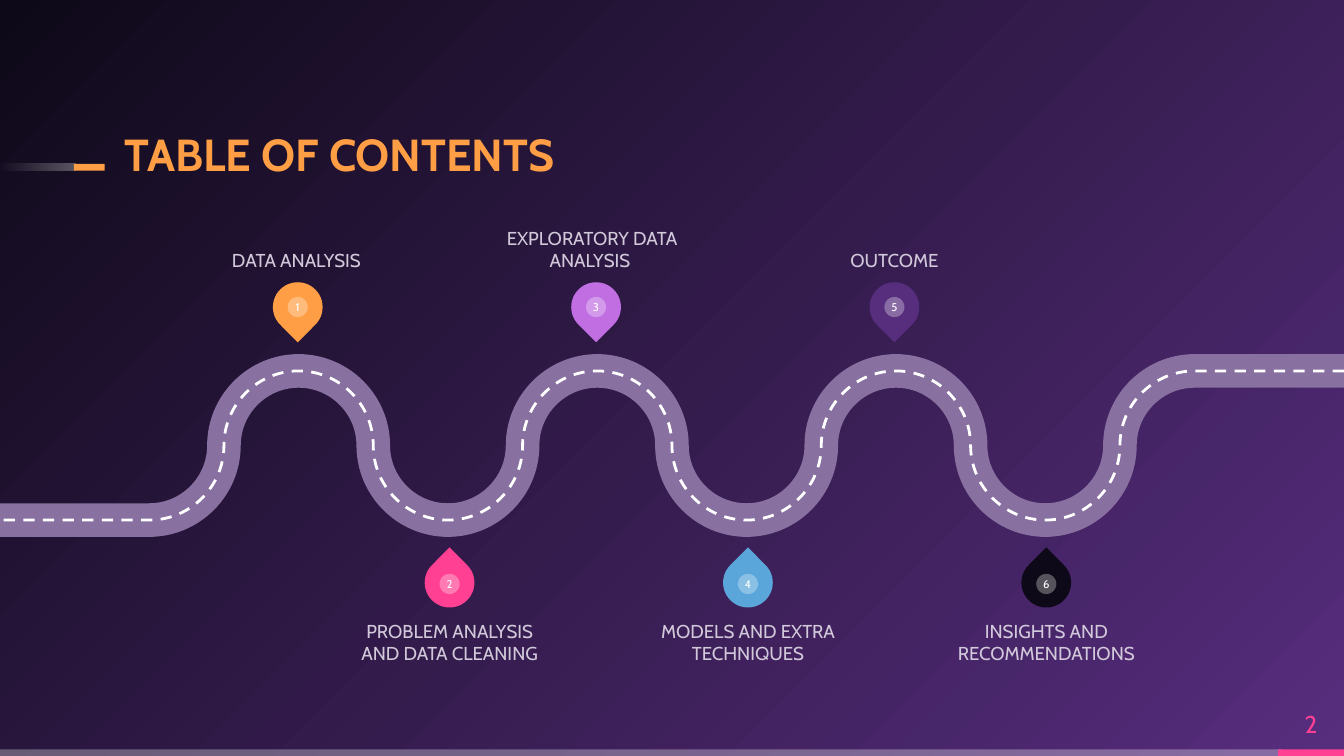
from lxml.etree import SubElement
from pptx import Presentation
from pptx.dml.color import RGBColor
from pptx.enum.dml import MSO_LINE
from pptx.enum.shapes import MSO_SHAPE
from pptx.enum.text import MSO_ANCHOR, PP_ALIGN
from pptx.oxml.ns import qn
from pptx.util import Inches, Pt

FONT = "Cabin"
COLORS = {
    "orange": "FF9E44", "pink": "FF4093", "violet": "C06EE2", "blue": "5AA5DA",
    "purple": "572D7E", "night": "0E0918", "road": "8870A0", "label": "D1C8DA",
    "white": "FFFFFF",
}
WIDTH, HEIGHT = 10, 5.625
PITCH = 2.22  # distance between neighbouring pins of one row
PIN = 0.37
DOT = 0.15
LABEL = (1.41, 0.58)

# number, pin colour, label, left edge of the label
ABOVE = [
    ("1", "orange", "DATA ANALYSIS", 1.5),
    ("3", "violet", "EXPLORATORY DATA ANALYSIS ", 3.7),
    ("5", "purple", "OUTCOME", 5.95),
]
BELOW = [
    ("2", "pink", "PROBLEM ANALYSIS AND DATA CLEANING", 2.64),
    ("4", "blue", "MODELS AND EXTRA TECHNIQUES", 4.86),
    ("6", "night", "INSIGHTS AND RECOMMENDATIONS", 7.08),
]


def color(name):
    return RGBColor.from_string(COLORS[name])


def fade(shape, *alphas):
    """Set the opacity in percent of each fill colour of the shape, in order."""
    for node, alpha in zip(shape._element.spPr.iter(qn("a:srgbClr")), alphas):
        SubElement(node, qn("a:alpha"), val=str(alpha * 1000))


def blend(fill, first, last):
    fill.gradient()
    for stop, name in zip(fill.gradient_stops, (first, last)):
        stop.color.rgb = color(name)


def add_form(shapes, kind, box, name):
    shape = shapes.add_shape(kind, *map(Inches, box))
    shape.shadow.inherit = False
    shape.fill.solid()
    shape.fill.fore_color.rgb = color(name)
    shape.line.fill.background()
    return shape


def write(shape, text, size, name, anchor=MSO_ANCHOR.MIDDLE, align=PP_ALIGN.CENTER):
    frame = shape.text_frame
    frame.word_wrap = True
    frame.vertical_anchor = anchor
    frame.margin_left = frame.margin_right = 0
    frame.margin_top = frame.margin_bottom = 0
    frame.text = text
    line = frame.paragraphs[0]
    line.alignment = align
    line.font.name = FONT
    line.font.size = Pt(size)
    line.font.color.rgb = color(name)
    return line


def add_text(slide, box, *style):
    write(slide.shapes.add_textbox(*map(Inches, box)), *style)


def paint_back(slide):
    blend(slide.background.fill, "purple", "night")
    grad = slide._element.find(".//" + qn("a:gradFill"))
    grad.remove(grad.find(qn("a:lin")))
    circle = SubElement(grad, qn("a:path"), path="circle")
    SubElement(circle, qn("a:fillToRect"), l="100000", t="100000")
    SubElement(grad, qn("a:tileRect"), r="-100000", b="-100000")


def add_footer(slide, height):
    top, split = HEIGHT - height, 9.51
    strip = add_form(slide.shapes, MSO_SHAPE.RECTANGLE, (0, top, 9.54, height), "white")
    fade(strip, 30)
    tail = WIDTH - split
    add_form(slide.shapes, MSO_SHAPE.RECTANGLE, (split, top, tail, height), "pink")
    add_text(slide, (split, top - 0.38, tail, 0.38), "2", 13, "pink")


def add_title(slide, left, top, width, height):
    dash = top + 0.3
    glow = add_form(slide.shapes, MSO_SHAPE.RECTANGLE, (0, dash, 0.56, 0.05), "white")
    blend(glow.fill, "white", "white")
    glow.fill.gradient_angle = 180
    fade(glow, 30, 0)
    add_form(slide.shapes, MSO_SHAPE.RECTANGLE, (0.55, dash, 0.23, 0.05), "orange")

    title = slide.shapes.title
    title.left, title.top = Inches(left), Inches(top)
    title.width, title.height = Inches(width), Inches(height)
    line = write(title, "TABLE OF CONTENTS", 24, "orange",
                 MSO_ANCHOR.BOTTOM, PP_ALIGN.LEFT)
    line.line_spacing = 0.9
    line.font.bold = True


def trace(outline, kind, *points):
    """Append one drawing step to a freeform outline."""
    step = SubElement(outline, qn("a:" + kind))
    for x, y in points:
        SubElement(step, qn("a:pt"), x=str(Inches(x)), y=str(Inches(y)))


def draw_road(outline, height):
    """Wind from the top right to the bottom left in quarter turns."""
    run, rise = WIDTH / 18, height / 2
    bend_x, bend_y = 0.55 * run, 0.55 * rise
    levels = (0, rise, height, rise)
    trace(outline, "moveTo", (WIDTH, 0))
    trace(outline, "lnTo", (16 * run, 0))
    for i in range(14):
        x, y = (16 - i) * run, levels[i % 4]
        end_x, end_y = x - run, levels[(i + 1) % 4]
        pull = bend_y if end_y > y else -bend_y
        if i % 2:
            knots = (x, y + pull), (end_x + bend_x, end_y)
        else:
            knots = (x - bend_x, y), (end_x, end_y - pull)
        trace(outline, "cubicBezTo", *knots, (end_x, end_y))
    trace(outline, "lnTo", (0, height))


def add_road(slide, top, height):
    for name, width, dash in (("road", 18, None), ("white", 1.5, MSO_LINE.DASH)):
        builder = slide.shapes.build_freeform(Inches(WIDTH), Inches(top))
        builder.add_line_segments([(0, Inches(top + height))], close=False)
        lane = builder.convert_to_shape()
        outline = lane._element.find(".//" + qn("a:path"))
        for step in list(outline):
            outline.remove(step)
        draw_road(outline, height)
        lane.shadow.inherit = False
        lane.fill.background()
        lane.line.color.rgb = color(name)
        lane.line.width = Pt(width)
        lane.line.dash_style = dash


def add_pin(slide, left, top, number, name, turn, drop):
    """Add a numbered pin; drop is the gap from its top to the dot."""
    group = slide.shapes.add_group_shape()
    pin = add_form(group.shapes, MSO_SHAPE.TEAR, (left, top, PIN, PIN), name)
    pin.rotation = turn
    box = (left + (PIN - DOT) / 2, top + drop, DOT, DOT)
    dot = add_form(group.shapes, MSO_SHAPE.OVAL, box, "white")
    fade(dot, 30)
    write(dot, number, 6, "white")


def add_row(slide, items, left, top, turn, drop, shift, anchor):
    """Add a row of pins, with labels shifted down from the pin tops."""
    for i, (number, name, text, edge) in enumerate(items):
        add_pin(slide, left + i * PITCH, top, number, name, turn, drop)
        add_text(slide, (edge, top + shift, *LABEL), text, 10, "label", anchor)


def main():
    deck = Presentation()
    deck.slide_width, deck.slide_height = Inches(WIDTH), Inches(HEIGHT)
    slide = deck.slides.add_slide(deck.slide_layouts[5])
    paint_back(slide)
    add_footer(slide, 0.05)
    add_title(slide, 0.93, 0.92, 5.8, 0.43)
    add_road(slide, 2.76, 1.11)
    add_row(slide, ABOVE, 2.03, 2.1, 135, 0.11, -0.66, MSO_ANCHOR.BOTTOM)
    add_row(slide, BELOW, 3.16, 4.15, 315, 0.12, 0.46, MSO_ANCHOR.TOP)
    deck.save("out.pptx")


if __name__ == "__main__":
    main()
